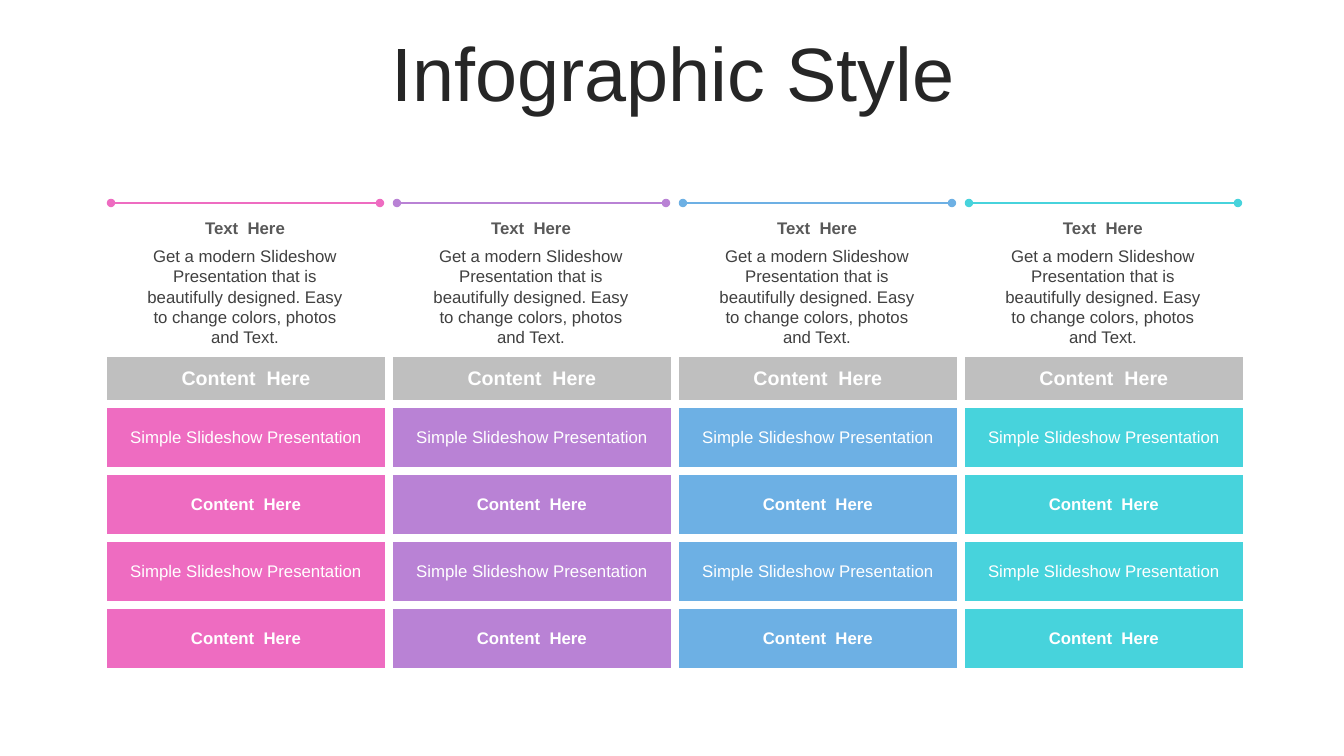
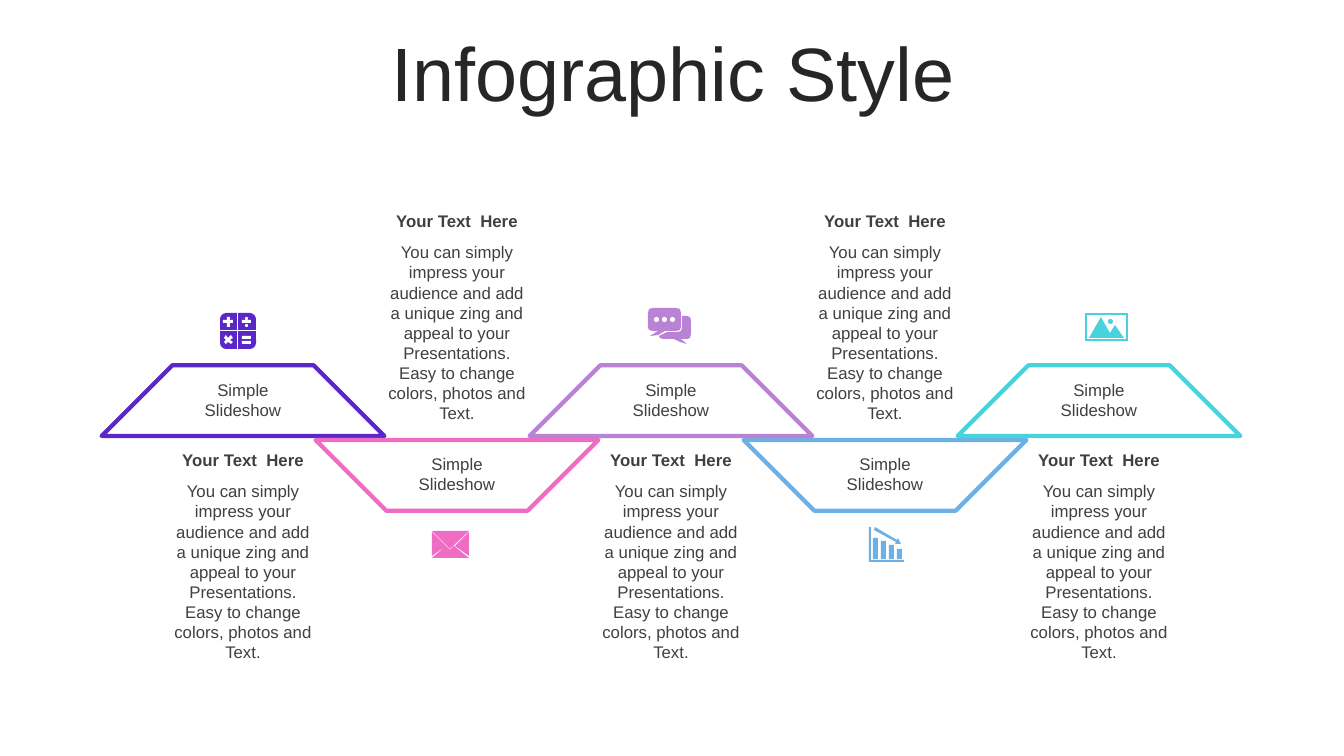
from lxml.etree import SubElement
from pptx import Presentation
from pptx.dml.color import RGBColor
from pptx.enum.shapes import MSO_CONNECTOR, MSO_SHAPE
from pptx.enum.text import MSO_ANCHOR, PP_ALIGN
from pptx.oxml.ns import qn
from pptx.util import Pt

SLIDE_WIDTH, SLIDE_HEIGHT = 1344, 756
EMU_PER_PX = 12192000 / SLIDE_WIDTH
FONT = "Arial"
COLORS = {
    "white": "FFFFFF", "title": "262626", "text": "404040", "heading": "595959",
    "gray": "BFBFBF", "indigo": "5A28C8", "pink": "EE6CC1", "purple": "B982D5",
    "blue": "6DB0E4", "teal": "47D3DC",
}

TITLE = "Infographic Style"

# Slide 1: four columns over a table
COLUMN_COLORS = ["pink", "purple", "blue", "teal"]
COLUMN_HEADING = "Text  Here"
COLUMN_BODY = ("Get a modern Slideshow Presentation that is beautifully designed. "
               "Easy to change colors, photos and Text.")
TABLE_ROWS = [  # text, size, bold, height
    ("Content  Here", 14, True, 51),
    ("Simple Slideshow Presentation", 12, False, 67),
    ("Content  Here", 12, True, 67),
    ("Simple Slideshow Presentation", 12, False, 67),
    ("Content  Here", 12, True, 67),
]
TABLE_LEFT, TABLE_TOP, COLUMN_WIDTH = 103, 353, 286

# Slide 2: a chain of five steps, alternately above and below the middle
STEP_LABEL = "Simple Slideshow"
STEP_HEADING = "Your Text  Here"
STEP_BODY = ("You can simply impress your audience and add a unique zing and appeal "
             "to your Presentations. Easy to change colors, photos and Text.")
STEPS = [  # color, icon, icon left, icon top
    ("indigo", "calculator", 220, 313),
    ("pink", "mail", 432, 531),
    ("purple", "chat", 648, 308),
    ("blue", "chart", 869, 527),
    ("teal", "photo", 1085, 313),
]
STACKING = [0, 1, 3, 2, 4]
FIRST_CENTER, STEP_PITCH, STRIPE_SIZE = 243, 214, 200
ABOVE = {"stripe": 336, "angle": 45, "label": 375, "caption": 445}
BELOW = {"stripe": 340, "angle": 225, "label": 449, "caption": 206}


def box(left, top, width, height):
    """Corner points of a rectangle."""
    right, bottom = left + width, top + height
    return [(left, top), (right, top), (right, bottom), (left, bottom)]


# Icon layers from back to front; "ink" stands for the color of the step.
# An outline holds a list of contours, a preset its left, top, width, height.
ICONS = {
    "calculator": [
        ("ink", MSO_SHAPE.ROUNDED_RECTANGLE, (0, 0, 36, 36)),
        ("white", "outline", [box(17, 0, 1, 36)]),
        ("white", "outline", [box(0, 17, 36, 1)]),
        ("white", "outline", [
            box(22, 7, 9, 3), box(22, 23, 9, 3), box(22, 28, 9, 3),
            [(7, 4), (10, 4), (10, 7), (13, 7), (13, 10), (10, 10),
             (10, 14), (7, 14), (7, 10), (3, 10), (3, 7), (7, 7)],
            [(6, 22), (8, 25), (11, 22), (13, 25), (10, 27), (13, 29),
             (11, 31), (8, 29), (6, 31), (4, 29), (6, 27), (4, 25)],
        ]),
        ("white", MSO_SHAPE.OVAL, (25, 4, 3, 3)),
        ("white", MSO_SHAPE.OVAL, (25, 11, 3, 3)),
    ],
    "mail": [
        ("ink", "outline", [
            [(0, 0), (37, 0), (18, 18)],
            [(0, 1), (14, 15), (0, 25)],
            [(37, 1), (37, 25), (23, 15)],
            [(22, 15), (37, 27), (0, 27), (14, 15), (18, 19)],
        ]),
    ],
    "chat": [
        ("ink", "outline", [
            [(34, 8), (39, 8), (42, 9), (43, 12), (43, 26), (42, 30), (39, 31),
             (33, 31), (39, 36), (32, 34), (26, 31), (15, 31), (12, 30),
             (11, 28), (19, 24), (30, 24), (33, 23), (34, 20)],
            [(5, 0), (28, 0), (32, 1), (33, 5), (33, 19), (32, 22), (28, 23),
             (17, 23), (10, 27), (2, 28), (10, 23), (5, 23), (1, 22), (0, 19),
             (0, 5), (1, 1)],
        ]),
        *[("white", MSO_SHAPE.OVAL, (left, 9, 5, 5)) for left in (6, 14, 22)],
    ],
    "chart": [
        ("ink", "outline", [
            *[box(4 + 8 * bar, top, 5, 32 - top)
              for bar, top in enumerate((11, 14, 18, 22))],
            [(6, 0), (28, 13), (29, 11), (32, 17), (26, 17), (27, 15), (5, 3)],
            [(0, 0), (2, 0), (2, 33), (35, 33), (35, 35), (0, 35)],
        ]),
    ],
    "photo": [
        ("ink", "outline", [box(0, 0, 43, 28)]),
        ("white", "outline", [box(2, 2, 39, 24)]),
        ("ink", "outline", [[(16, 4), (25, 20), (30, 12), (39, 25), (4, 25)]]),
        ("ink", MSO_SHAPE.OVAL, (23, 6, 5, 5)),
    ],
}


def px(length):
    return round(length * EMU_PER_PX)


def rgb(name):
    return RGBColor.from_string(COLORS[name])


def write(paragraph, text, size, color, bold=False):
    paragraph.alignment = PP_ALIGN.CENTER
    run = paragraph.add_run()
    run.text = text
    run.font.name = FONT
    run.font.size = Pt(size)
    run.font.bold = bold
    run.font.color.rgb = rgb(color)


def add_text(slide, bounds, text, size=12, color="text", bold=False):
    frame = slide.shapes.add_textbox(*map(px, bounds)).text_frame
    frame.word_wrap = True
    write(frame.paragraphs[0], text, size, color, bold)
    return frame


def add_titled_slide(presentation):
    slide = presentation.slides.add_slide(presentation.slide_layouts[6])
    frame = add_text(slide, (35, 37, 1276, 80), TITLE, 54, "title")
    frame.vertical_anchor = MSO_ANCHOR.MIDDLE
    frame.paragraphs[0].line_spacing = 0.9
    return slide


def paint(shape, fill, line=None, width=3):
    shape.shadow.inherit = False
    shape.fill.solid()
    shape.fill.fore_color.rgb = rgb(fill)
    if line:
        shape.line.color.rgb = rgb(line)
        shape.line.width = Pt(width)
    else:
        shape.line.fill.background()


def add_dotted_end_line(slide, left, right, y, color):
    """Horizontal line with a round dot at both ends."""
    connector = slide.shapes.add_connector(
        MSO_CONNECTOR.STRAIGHT, px(left), px(y), px(right), px(y))
    connector.line.color.rgb = rgb(color)
    connector.line.width = Pt(2)
    properties = connector._element.spPr
    for end in ("a:headEnd", "a:tailEnd"):
        SubElement(properties.find(qn("a:ln")), qn(end), type="oval")
    SubElement(properties, qn("a:effectLst"))


def add_cell_borders(cell, color, width):
    properties = cell._tc.get_or_add_tcPr()
    for side in ("a:lnL", "a:lnR", "a:lnT", "a:lnB"):
        line = SubElement(properties, qn(side), w=str(Pt(width)))
        fill = SubElement(line, qn("a:solidFill"))
        SubElement(fill, qn("a:srgbClr"), val=COLORS[color])


def add_content_table(slide):
    heights = [row[3] for row in TABLE_ROWS]
    count = len(COLUMN_COLORS)
    table = slide.shapes.add_table(
        len(TABLE_ROWS), count, px(TABLE_LEFT), px(TABLE_TOP),
        px(COLUMN_WIDTH * count), px(sum(heights))).table
    table.first_row = table.horz_banding = False
    for column in table.columns:
        column.width = px(COLUMN_WIDTH)
    for row_index, (text, size, bold, height) in enumerate(TABLE_ROWS):
        table.rows[row_index].height = px(height)
        for column_index, color in enumerate(COLUMN_COLORS):
            cell = table.cell(row_index, column_index)
            add_cell_borders(cell, "white", 6)
            cell.fill.solid()
            cell.fill.fore_color.rgb = rgb(color if row_index else "gray")
            cell.vertical_anchor = MSO_ANCHOR.MIDDLE
            write(cell.text_frame.paragraphs[0], text, size, "white", bold)


def add_outline(slide, contours, left, top):
    first, *others = contours
    builder = slide.shapes.build_freeform(*first[0], scale=EMU_PER_PX)
    builder.add_line_segments(first[1:], close=True)
    for contour in others:
        builder.move_to(*contour[0])
        builder.add_line_segments(contour[1:], close=True)
    return builder.convert_to_shape(px(left), px(top))


def add_icon(slide, name, left, top, color):
    for role, kind, data in ICONS[name]:
        if kind == "outline":
            shape = add_outline(slide, data, left, top)
        else:
            x, y, width, height = data
            shape = slide.shapes.add_shape(
                kind, px(left + x), px(top + y), px(width), px(height))
        paint(shape, color if role == "ink" else role)


def build_table_slide(presentation):
    slide = add_titled_slide(presentation)
    for index, color in enumerate(COLUMN_COLORS):
        left = TABLE_LEFT + index * COLUMN_WIDTH
        add_dotted_end_line(slide, left + 8, left + 277, 203, color)
        add_text(slide, (left + 29, 213, 226, 30), COLUMN_HEADING,
                 color="heading", bold=True)
        add_text(slide, (left + 29, 241, 226, 112), COLUMN_BODY)
    add_content_table(slide)


def build_chain_slide(presentation):
    slide = add_titled_slide(presentation)
    places = [(FIRST_CENTER + index * STEP_PITCH, BELOW if index % 2 else ABOVE)
              for index in range(len(STEPS))]
    for index in STACKING:
        center, side = places[index]
        stripe = slide.shapes.add_shape(
            MSO_SHAPE.DIAGONAL_STRIPE, px(center - STRIPE_SIZE // 2),
            px(side["stripe"]), px(STRIPE_SIZE), px(STRIPE_SIZE))
        stripe.adjustments[0] = 0.5
        stripe.rotation = side["angle"]
        paint(stripe, "white", STEPS[index][0])
    for (center, side), (color, icon, left, top) in zip(places, STEPS):
        caption = side["caption"]
        add_text(slide, (center - 71, side["label"], 142, 50), STEP_LABEL)
        add_text(slide, (center - 83, caption, 166, 30), STEP_HEADING, bold=True)
        add_text(slide, (center - 83, caption + 31, 166, 194), STEP_BODY)
        add_icon(slide, icon, left, top, color)


def main():
    presentation = Presentation()
    presentation.slide_width = px(SLIDE_WIDTH)
    presentation.slide_height = px(SLIDE_HEIGHT)
    build_table_slide(presentation)
    build_chain_slide(presentation)
    presentation.save("out.pptx")


if __name__ == "__main__":
    main()
